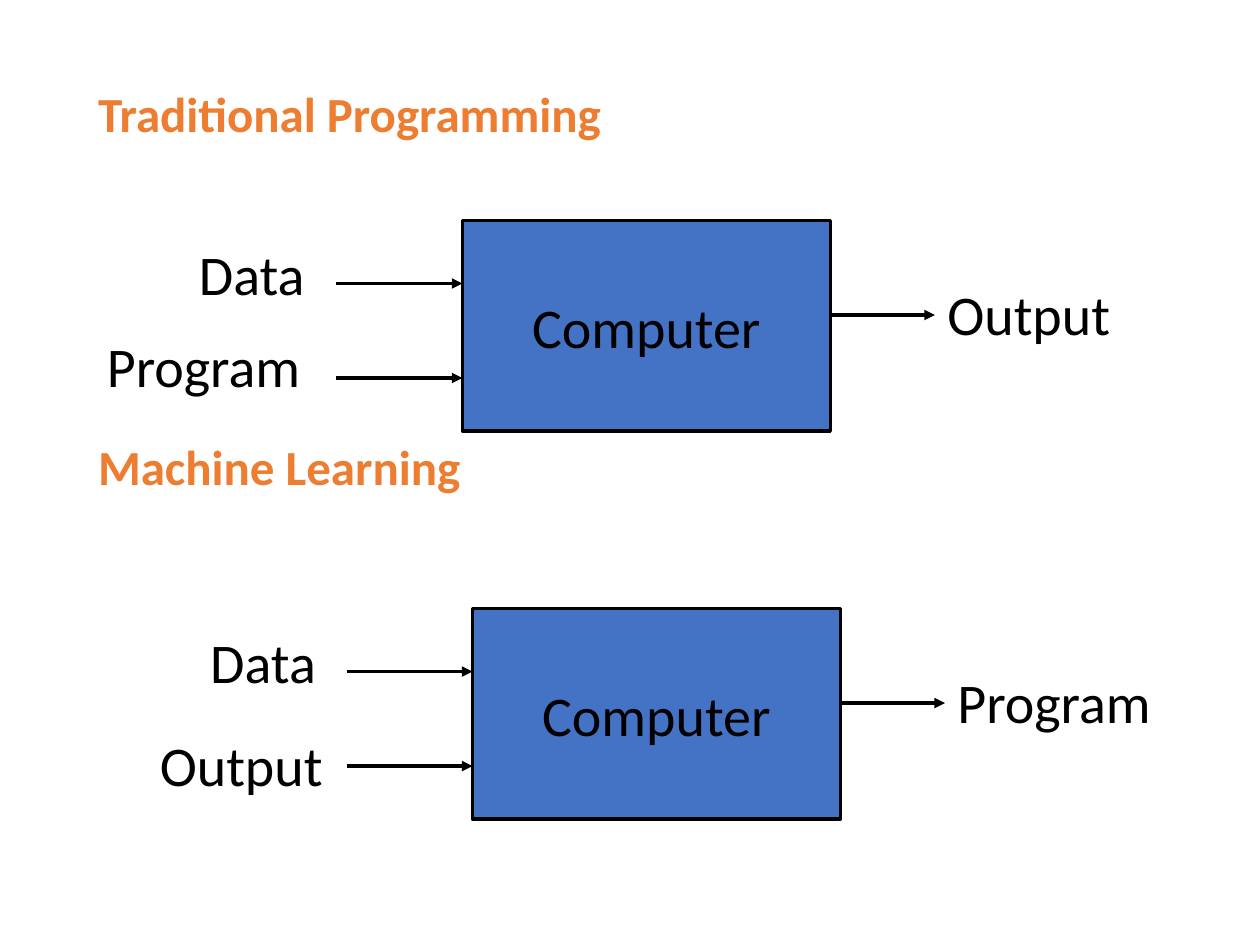
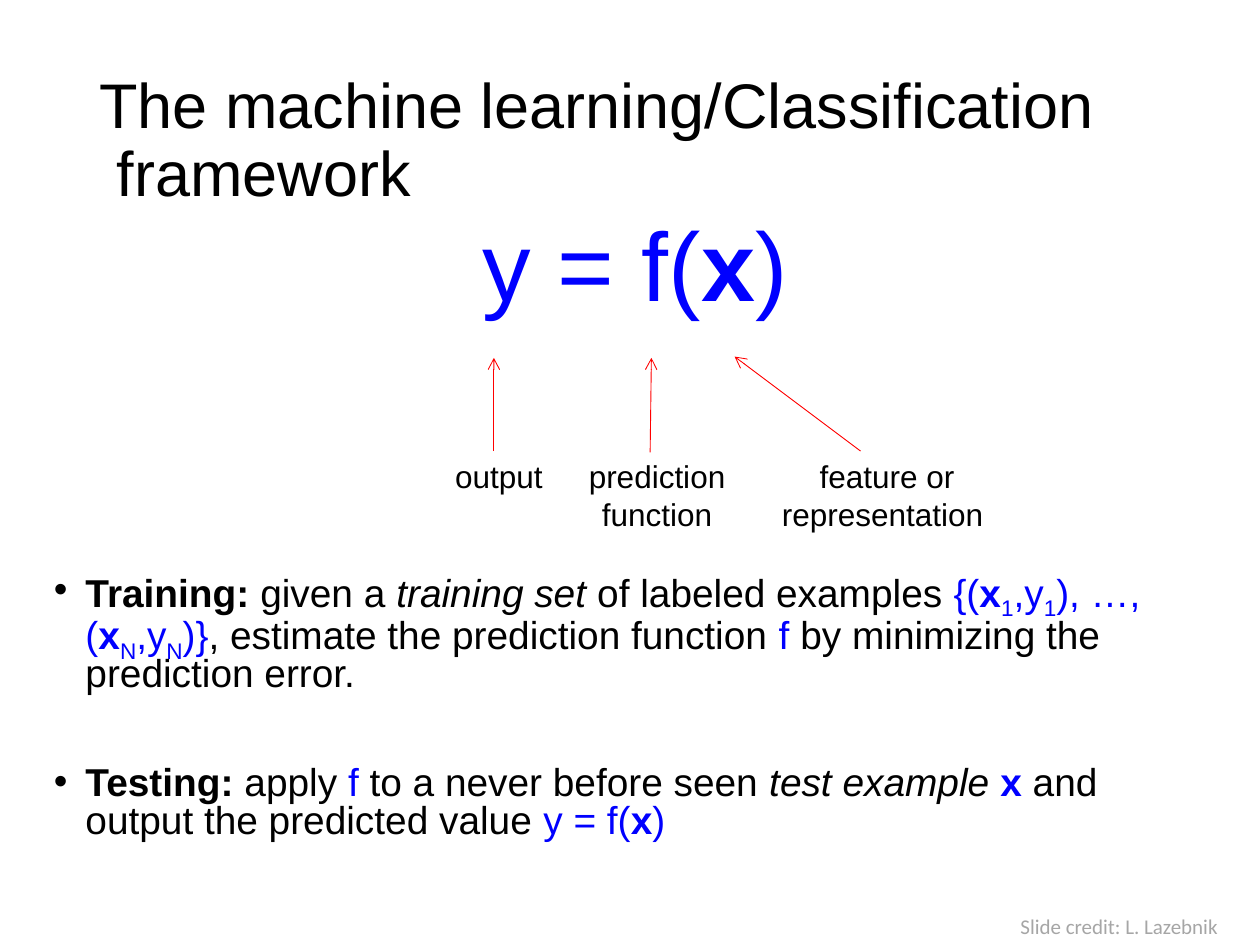
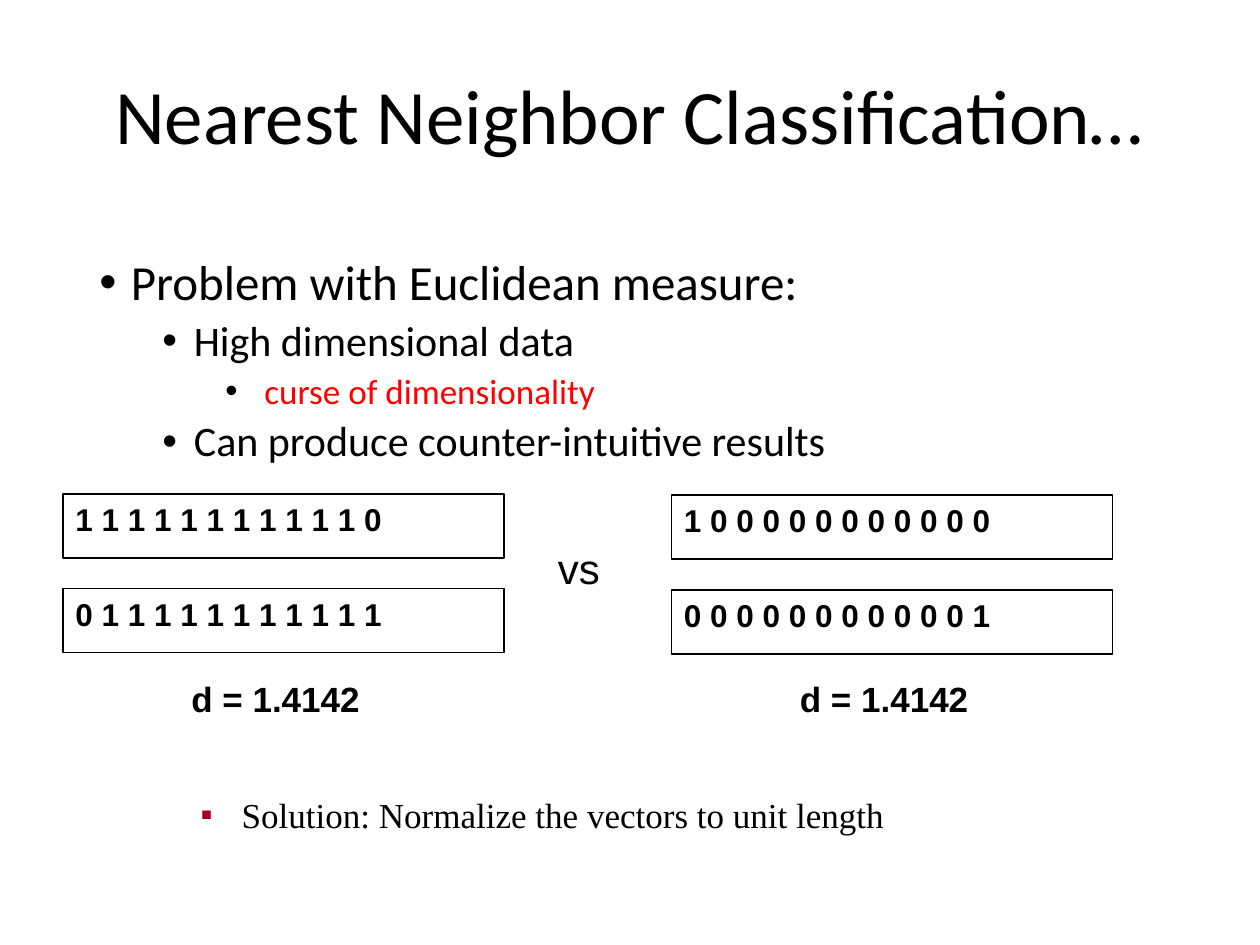
"""Build three slides that introduce machine learning and nearest neighbours."""
from lxml.etree import SubElement
from pptx import Presentation
from pptx.dml.color import RGBColor
from pptx.enum.shapes import MSO_CONNECTOR as Line, MSO_SHAPE as Shape
from pptx.enum.text import MSO_ANCHOR as Anchor, PP_ALIGN as Align
from pptx.oxml.ns import qn
from pptx.util import Inches, Pt

COLORS = {
    "ink": "000000",
    "heading": "ED7D31",
    "computer": "4472C4",
    "formula": "0000FF",
    "accent": "FF0000",
    "credit": "A6A6A6",
    "square": "A50021",
}
BASE = {"name": "Calibri", "size": Pt(18), "bold": False, "italic": False, "color": "ink"}
HEADING = {"size": Pt(28), "bold": True, "color": "heading"}
FLOW = {"size": Pt(32)}
ARIAL = {"name": "Arial"}
STATEMENT = {"name": "Arial", "size": Pt(22.2)}
VECTOR = {"name": "Arial", "bold": True}
DISTANCE = {**VECTOR, "size": Pt(20)}
BOLD = {"bold": True}
ITALIC = {"italic": True}
BLUE = {"color": "formula"}
BLUE_BOLD = {**BLUE, **BOLD}
BLUE_SUB = {**BLUE, "baseline": -25000}
CENTER = {"alignment": Align.CENTER}
TIGHT = {"line_spacing": 0.9}


def rgb(key):
    """Return the named colour."""
    return RGBColor.from_string(COLORS[key])


def inches(*lengths):
    """Convert each length to inches."""
    return [Inches(length) for length in lengths]


def bullet(paragraph, margin, hang, mark="•", color="ink", percent=100):
    """Give a paragraph a hanging bullet."""
    props = paragraph._p.get_or_add_pPr()
    props.set("marL", str(Inches(margin)))
    props.set("indent", str(-Inches(hang)))
    SubElement(SubElement(props, qn("a:buClr")), qn("a:srgbClr"), val=COLORS[color])
    SubElement(props, qn("a:buSzPct"), val=str(percent * 1000))
    SubElement(props, qn("a:buFont"), typeface="Arial")
    SubElement(props, qn("a:buChar"), char=mark)


def add_run(paragraph, text, style):
    """Add a run in the base style changed by style."""
    run = paragraph.add_run()
    run.text = text
    values = {**BASE, **style}
    run.font.color.rgb = rgb(values.pop("color"))
    baseline = values.pop("baseline", None)
    for key, value in values.items():
        setattr(run.font, key, value)
    if baseline:
        run._r.get_or_add_rPr().set("baseline", str(baseline))


def write(frame, paragraphs, style, layout=None, anchor=Anchor.TOP):
    """Fill a frame with paragraphs given as (runs, layout, bullet)."""
    frame.word_wrap = True
    frame.vertical_anchor = anchor
    for index, (runs, own_layout, mark) in enumerate(paragraphs):
        paragraph = frame.add_paragraph() if index else frame.paragraphs[0]
        for key, value in {**(layout or {}), **own_layout}.items():
            setattr(paragraph, key, value)
        if mark:
            bullet(paragraph, **mark)
        for text, change in runs:
            add_run(paragraph, text, {**style, **change})


def add_text(slide, box, paragraphs, style, layout=None, anchor=Anchor.TOP):
    """Add a text box; a plain string stands for one paragraph per line."""
    if isinstance(paragraphs, str):
        paragraphs = [([(line, {})], {}, None) for line in paragraphs.split("\n")]
    frame = slide.shapes.add_textbox(*inches(*box)).text_frame
    write(frame, paragraphs, style, layout, anchor)


def add_title(slide, text, height, style, layout):
    """Add the slide title."""
    add_text(slide, (0.69, 0.4, 8.62, height), text, style, {**TIGHT, **layout}, Anchor.MIDDLE)


def add_box(slide, box, text, style, line_width, fill=None, layout=None, anchor=Anchor.TOP):
    """Add an outlined rectangle with one line of text."""
    rectangle = slide.shapes.add_shape(Shape.RECTANGLE, *inches(*box))
    rectangle.shadow.inherit = False
    if fill:
        rectangle.fill.solid()
        rectangle.fill.fore_color.rgb = rgb(fill)
    else:
        rectangle.fill.background()
    rectangle.line.color.rgb = rgb("ink")
    rectangle.line.width = Pt(line_width)
    layout = layout or {"alignment": Align.LEFT}
    write(rectangle.text_frame, [([(text, {})], {}, None)], style, layout, anchor)


def add_arrow(slide, start, end, color="ink", width=2, head="triangle"):
    """Add a straight arrow."""
    arrow = slide.shapes.add_connector(Line.STRAIGHT, *inches(*start, *end))
    arrow.line.color.rgb = rgb(color)
    arrow.line.width = Pt(width)
    SubElement(arrow.line._get_or_add_ln(), qn("a:tailEnd"), type=head)
    SubElement(arrow._element.spPr, qn("a:effectLst"))


def add_flow(slide, left, top, labels):
    """Draw a computer with two inputs and one result."""
    add_box(slide, (left, top, 2.92, 1.67), "Computer", FLOW, 2, "computer", CENTER, Anchor.MIDDLE)
    for start, end, drop in ((-1, 0, 0.5), (-1, 0, 1.25), (2.92, 3.75, 0.75)):
        add_arrow(slide, (left + start, top + drop), (left + end, top + drop))
    for text, shift, drop in labels:
        add_text(slide, (left + shift, top + drop, 1.9, 0.63), text, FLOW)


def build_comparison(slide):
    """Compare traditional programming with machine learning."""
    for top, heading in ((0.67, "Traditional Programming"), (3.47, "Machine Learning")):
        add_text(slide, (0.68, top, 8.9, 0.55), heading, HEADING, TIGHT)
    add_flow(slide, 3.67, 1.75,
             [("Data", -2.19, 0.1), ("Program", -2.92, 0.83), ("Output", 3.75, 0.42)])
    add_flow(slide, 3.75, 4.83,
             [("Data", -2.18, 0.1), ("Output", -2.58, 0.92), ("Program", 3.75, 0.42)])


def build_framework(slide):
    """Explain the prediction function with training and testing."""
    add_title(slide, "The machine learning/Classification\n framework", 1.45,
              {**ARIAL, "size": Pt(36)}, {})
    formula = [("y = f(", {}), ("x", BOLD), (")", {})]
    add_text(slide, (0.33, 1.75, 9.42, 1), [(formula, {}, None)],
             {**ARIAL, **BLUE, "size": Pt(55.5)}, {**CENTER, "line_spacing": 0.8})
    for start, end in (((3.92, 3.58), (3.92, 2.84)),
                       ((5.16, 3.59), (5.17, 2.84)),
                       ((6.83, 3.58), (5.83, 2.83))):
        add_arrow(slide, start, end, "accent", 0.5, "arrow")
    for left, width, part in ((3.46, 1, "output"),
                              (4.18, 2.07, "prediction function"),
                              (6.01, 1.99, " feature or\nrepresentation")):
        add_text(slide, (left, 3.58, width, 0.71), part, ARIAL, CENTER)
    training = [
        ("Training: ", BOLD), ("given a ", {}), ("training set ", ITALIC),
        ("of labeled examples ", {}), ("{(", BLUE), ("x", BLUE_BOLD), ("1", BLUE_SUB),
        (",y", BLUE), ("1", BLUE_SUB), ("), …, (", BLUE), ("x", BLUE_BOLD),
        ("N", BLUE_SUB), (",y", BLUE), ("N", BLUE_SUB), (")}", BLUE),
        (", estimate the prediction function ", {}), ("f ", BLUE),
        ("by minimizing the prediction error.", {}),
    ]
    testing = [
        ("Testing:", BOLD), (" apply ", {}), ("f", BLUE), (" to a never before seen ", {}),
        ("test example ", ITALIC), ("x", BLUE_BOLD), (" and output the predicted value ", {}),
    ] + [(text, {**BLUE, **change}) for text, change in formula]
    mark = {"margin": 0.25, "hang": 0.25}
    add_text(slide, (0.33, 4.5, 9.42, 2.2),
             [(training, {}, mark), (testing, {"space_before": Pt(41)}, mark)],
             STATEMENT, {"line_spacing": 0.8})
    add_text(slide, (8, 7.2, 1.98, 0.3), "Slide credit: L. Lazebnik",
             {"size": Pt(12), "color": "credit"})


def build_neighbors(slide):
    """Show the problem with Euclidean distance."""
    add_title(slide, "Nearest Neighbor Classification…", 1.1, {"size": Pt(44)}, CENTER)
    points = [
        ("Problem with Euclidean measure:", 28, "ink", 10, 0.25, 0.25),
        ("High dimensional data", 24, "ink", 5, 0.75, 0.25),
        ("curse of dimensionality", 20, "accent", 5, 1.31, 0.31),
        ("Can produce counter-intuitive results", 24, "ink", 5, 0.75, 0.25),
    ]
    add_text(slide, (0.69, 2, 8.62, 1.85),
             [([(text, {"size": Pt(size), "color": color})], {"space_before": Pt(before)},
               {"margin": margin, "hang": hang})
              for text, size, color, before, margin, hang in points], {}, TIGHT)
    pairs = (
        (0.5, 3.92, ("1 1 1 1 1 1 1 1 1 1 1 0", "0 1 1 1 1 1 1 1 1 1 1 1")),
        (5.33, 3.93, ("1 0 0 0 0 0 0 0 0 0 0 0", "0 0 0 0 0 0 0 0 0 0 0 1")),
    )
    for left, top, vectors in pairs:
        for row, vector in enumerate(vectors):
            add_box(slide, (left, top + 0.75 * row, 3.5, 0.51), vector, VECTOR, 1)
        add_text(slide, (left + 0.92, 5.33, 1.83, 0.43), "d = 1.4142", DISTANCE)
    add_text(slide, (4.33, 4.26, 0.61, 0.67), "vs", {**ARIAL, "size": Pt(24)})
    square = {"margin": 1.32, "hang": 0.32, "mark": "■", "color": "square", "percent": 50}
    add_text(slide, (0.5, 6.25, 9.1, 0.75),
             [([("Solution: Normalize the vectors to unit length", {})], {}, square)],
             {"name": "Times New Roman", "size": Pt(20)})


def main():
    """Build the slides and save the file."""
    deck = Presentation()
    deck.slide_width, deck.slide_height = inches(10, 7.5)
    for build in (build_comparison, build_framework, build_neighbors):
        build(deck.slides.add_slide(deck.slide_layouts[6]))
    deck.save("out.pptx")


if __name__ == "__main__":
    main()
